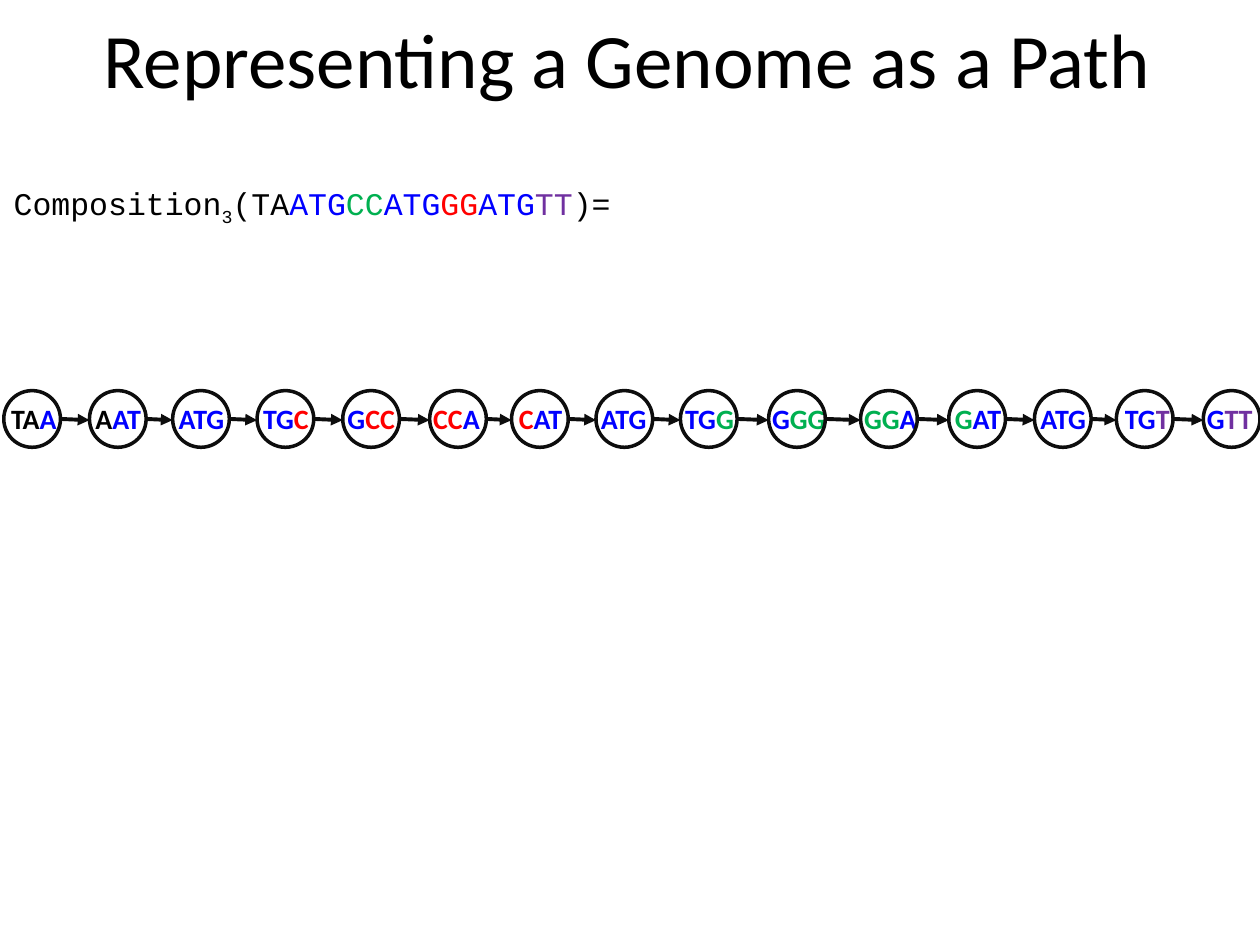
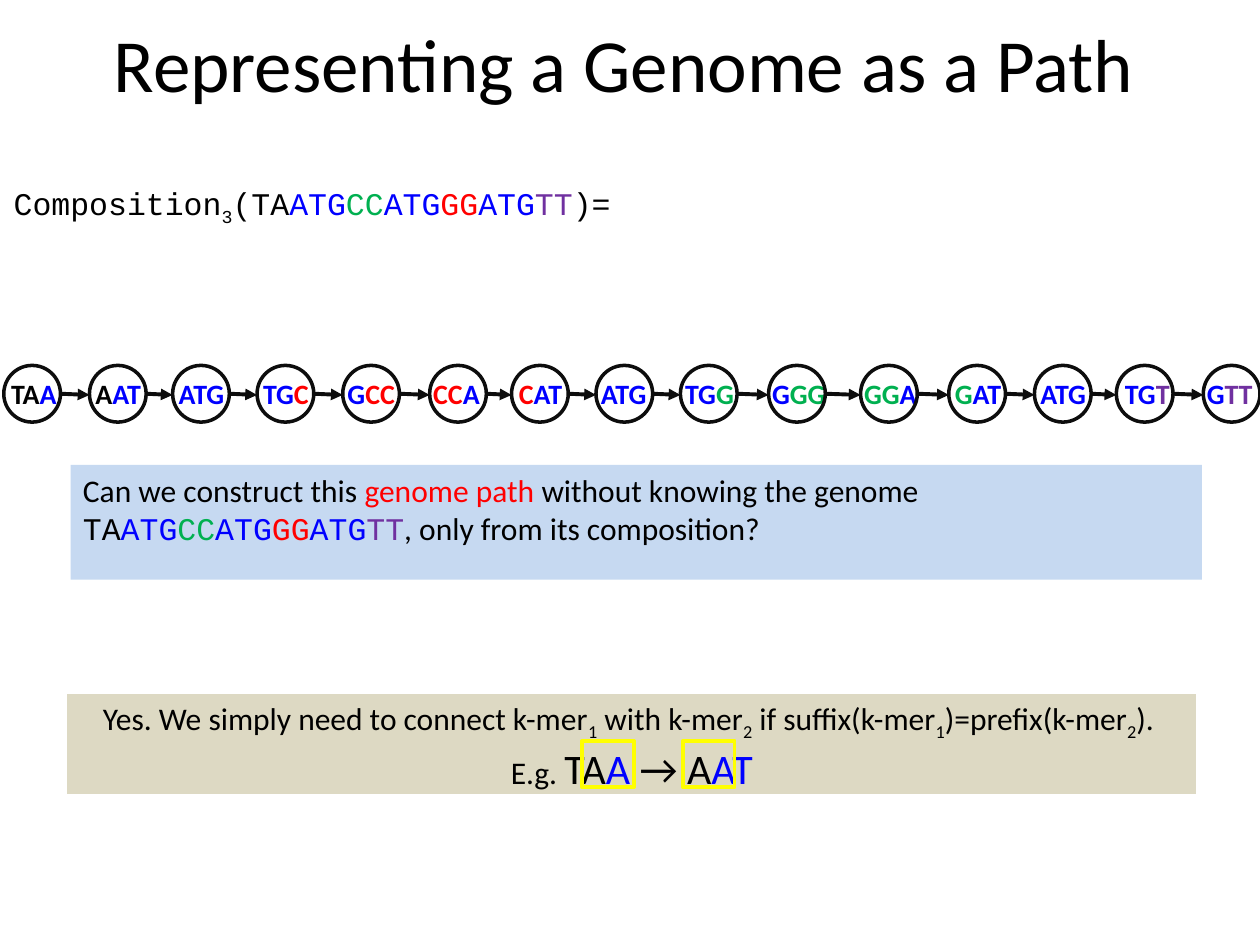
from itertools import groupby

from pptx import Presentation
from pptx.dml.color import RGBColor
from pptx.enum.shapes import MSO_CONNECTOR, MSO_SHAPE
from pptx.enum.text import MSO_ANCHOR, MSO_AUTO_SIZE, PP_ALIGN
from pptx.oxml.ns import qn
from pptx.util import Inches, Pt
from lxml.etree import SubElement

BLACK = RGBColor(0x00, 0x00, 0x00)
BLUE = RGBColor(0x00, 0x00, 0xFF)
GREEN = RGBColor(0x00, 0xB0, 0x50)
RED = RGBColor(0xFF, 0x00, 0x00)
PURPLE = RGBColor(0x70, 0x30, 0xA0)
WHITE = RGBColor(0xFF, 0xFF, 0xFF)
YELLOW = RGBColor(0xFF, 0xFF, 0x00)
OUTLINE = RGBColor(0x0D, 0x0D, 0x0D)
QUESTION_FILL = RGBColor(0xC6, 0xD9, 0xF1)
ANSWER_FILL = RGBColor(0xDD, 0xD9, 0xC3)

BODY_FONT = "Calibri"
CODE_FONT = "Courier New"
LETTER_COLORS = {"k": BLACK, "b": BLUE, "g": GREEN, "r": RED, "p": PURPLE}

TITLE = "Representing a Genome as a Path"
GENOME = ("TAATGCCATGGGATGTT", "kkbbbggbbbrrbbbpp")
NODE_SIZE = 0.45
LABEL_WIDTH = 0.63
# k-mer, colour of each letter, left of the circle, left of the label
PATH_NODES = [
    ("TAA", "kkb", 0.03, -0.01),
    ("AAT", "kbb", 0.71, 0.66),
    ("ATG", "bbb", 1.37, 1.32),
    ("TGC", "bbr", 2.04, 1.99),
    ("GCC", "brr", 2.72, 2.66),
    ("CCA", "rrb", 3.41, 3.34),
    ("CAT", "rbb", 4.06, 4.02),
    ("ATG", "bbb", 4.73, 4.67),
    ("TGG", "bbg", 5.40, 5.34),
    ("GGG", "bgg", 6.10, 6.03),
    ("GGA", "ggb", 6.83, 6.76),
    ("GAT", "gbb", 7.53, 7.48),
    ("ATG", "bbb", 8.21, 8.16),
    ("TGT", "bbp", 8.86, 8.83),
    ("GTT", "bpp", 9.55, 9.48),
]


def colored_runs(letters, codes, **style):
    """Split letters into runs of one colour, given one colour code per letter."""
    runs = []
    for code, pairs in groupby(zip(letters, codes), key=lambda pair: pair[1]):
        text = "".join(letter for letter, _ in pairs)
        runs.append((text, dict(style, color=LETTER_COLORS[code])))
    return runs


def add_run(paragraph, text, size=18, font=BODY_FONT, color=BLACK, bold=False,
            subscript=False):
    run = paragraph.add_run()
    run.text = text
    run.font.size = Pt(size)
    run.font.name = font
    run.font.bold = bold
    run.font.color.rgb = color
    if subscript:
        run.font._element.set("baseline", "-25000")


def fill_text(shape, paragraphs, align=PP_ALIGN.LEFT, anchor=MSO_ANCHOR.TOP, wrap=True):
    """Write paragraphs, each a list of (text, format) runs, into a shape."""
    frame = shape.text_frame
    frame.word_wrap = wrap
    frame.vertical_anchor = anchor
    if not wrap:
        frame.auto_size = MSO_AUTO_SIZE.SHAPE_TO_FIT_TEXT
    for index, runs in enumerate(paragraphs):
        paragraph = frame.add_paragraph() if index else frame.paragraphs[0]
        paragraph.alignment = align
        for text, style in runs:
            add_run(paragraph, text, **style)


class GenomeDeck:
    def __init__(self):
        self.presentation = Presentation()
        self.presentation.slide_width = Inches(10)
        self.presentation.slide_height = Inches(7.5)
        self.slide = None

    def new_slide(self):
        self.slide = self.presentation.slides.add_slide(self.presentation.slide_layouts[6])

    def text(self, left, top, width, height, paragraphs, **layout):
        box = self.slide.shapes.add_textbox(
            Inches(left), Inches(top), Inches(width), Inches(height))
        fill_text(box, paragraphs, **layout)

    def shape(self, kind, left, top, width, height, fill=None, line=None, weight=2.25):
        shape = self.slide.shapes.add_shape(
            kind, Inches(left), Inches(top), Inches(width), Inches(height))
        shape.shadow.inherit = False
        if fill is None:
            shape.fill.background()
        else:
            shape.fill.solid()
            shape.fill.fore_color.rgb = fill
        if line is None:
            shape.line.fill.background()
        else:
            shape.line.color.rgb = line
            shape.line.width = Pt(weight)
        return shape

    def arrow(self, start, end, y):
        connector = self.slide.shapes.add_connector(
            MSO_CONNECTOR.STRAIGHT, Inches(start), Inches(y), Inches(end), Inches(y + 0.01))
        connector.line.color.rgb = OUTLINE
        connector.line.width = Pt(2.25)
        SubElement(connector.line._get_or_add_ln(), qn("a:tailEnd"), type="triangle")
        SubElement(connector._element.spPr, qn("a:effectLst"))

    def title(self, left, top, size):
        self.text(left, top, 9, 0.9, [[(TITLE, {"size": size})]],
                  align=PP_ALIGN.CENTER, anchor=MSO_ANCHOR.MIDDLE)

    def composition(self):
        code = {"font": CODE_FONT}
        self.text(0.01, 1.41, 9.89, 0.5, [[
            ("Composition", code),
            ("3", {"font": CODE_FONT, "subscript": True}),
            ("(", code),
            *colored_runs(*GENOME, font=CODE_FONT),
            (")=", code),
        ]])

    def genome_path(self, top):
        for node, next_node in zip(PATH_NODES, PATH_NODES[1:]):
            self.arrow(node[2] + NODE_SIZE, next_node[2], top + NODE_SIZE / 2)
        for letters, codes, circle_left, label_left in PATH_NODES:
            self.text(label_left, top + 0.04, LABEL_WIDTH, 0.37,
                      [colored_runs(letters, codes, size=16, bold=True)], wrap=False)
            self.shape(MSO_SHAPE.OVAL, circle_left, top, NODE_SIZE, NODE_SIZE,
                       line=OUTLINE, weight=2)

    def question(self):
        panel = self.shape(MSO_SHAPE.RECTANGLE, 0.56, 3.69, 8.98, 0.91, fill=QUESTION_FILL)
        fill_text(panel, [[
            ("Can we construct this ", {}),
            ("genome path ", {"color": RED}),
            ("without knowing the genome ", {}),
            *colored_runs(*GENOME, font=CODE_FONT),
            (", only from its composition?", {}),
        ]])

    def answer(self):
        panel = self.shape(MSO_SHAPE.RECTANGLE, 0.53, 5.5, 8.97, 0.81,
                           fill=ANSWER_FILL, line=WHITE, weight=0.75)
        subscript = {"subscript": True}
        rule = [
            ("Yes. We simply need to connect k-mer", {}), ("1", subscript),
            (" with k-mer", {}), ("2", subscript),
            (" if suffix(k-mer", {}), ("1", subscript),
            (")=prefix(k-mer", {}), ("2", subscript),
            ("). ", {}),
        ]
        example = [("E.g. ", {}), *colored_runs("TAA → AAT", "kkbbkkkbb", size=24)]
        fill_text(panel, [rule, example], align=PP_ALIGN.CENTER)
        for overlap_left in (4.62, 5.42):
            self.shape(MSO_SHAPE.RECTANGLE, overlap_left, 5.88, 0.41, 0.37, line=YELLOW)


def main():
    deck = GenomeDeck()

    deck.new_slide()
    deck.genome_path(top=3.1)
    deck.title(left=0.48, top=0.01, size=44)
    deck.composition()

    deck.new_slide()
    deck.genome_path(top=2.9)
    deck.composition()
    deck.title(left=0.45, top=0.05, size=42.9)
    deck.question()
    deck.answer()

    deck.presentation.save("out.pptx")


if __name__ == "__main__":
    main()
